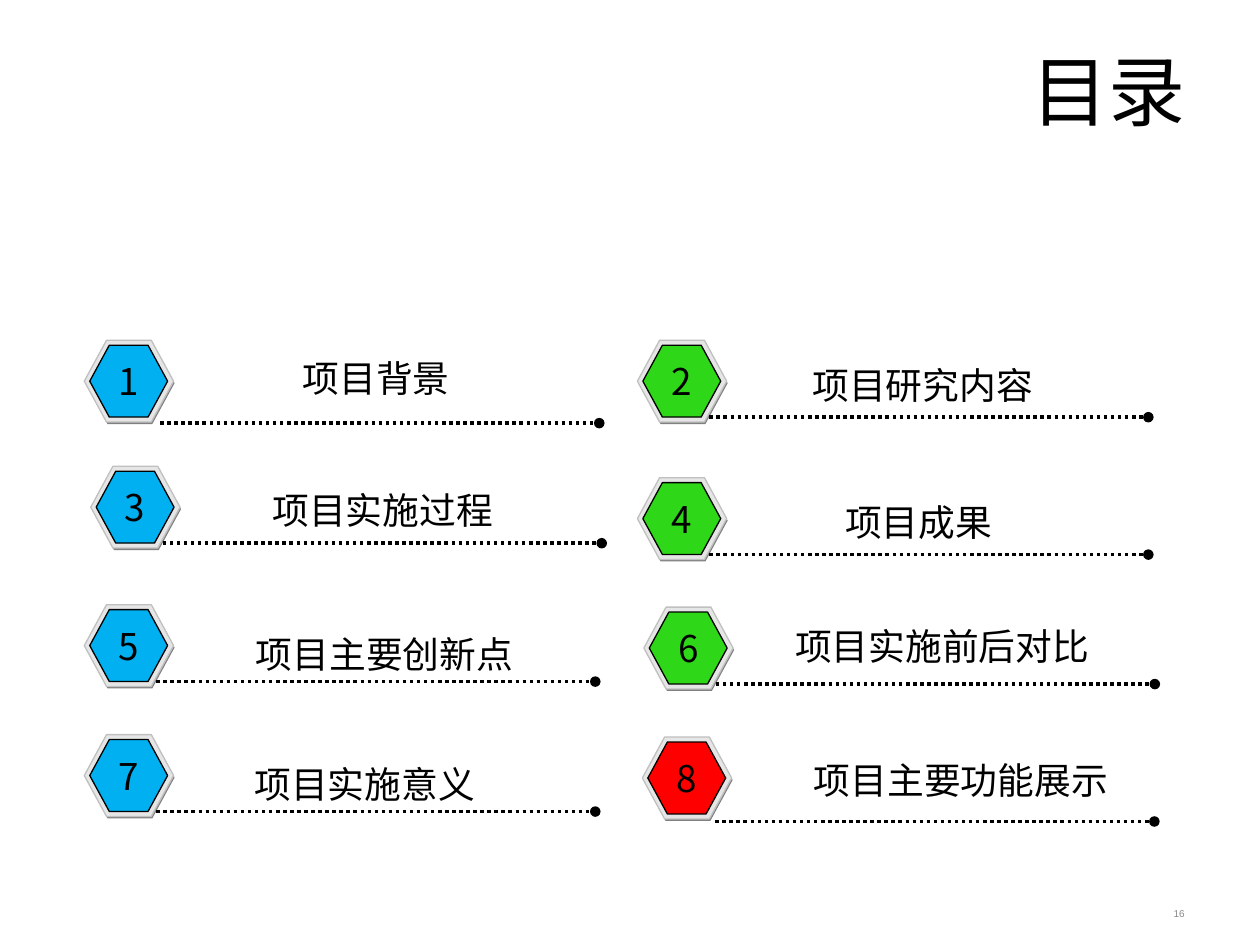
"""Build the contents slide with eight numbered hexagon entries."""
from dataclasses import dataclass

from lxml import etree
from pptx import Presentation
from pptx.dml.color import RGBColor
from pptx.enum.dml import MSO_LINE
from pptx.enum.shapes import MSO_CONNECTOR, MSO_SHAPE
from pptx.enum.text import MSO_ANCHOR, MSO_AUTO_SIZE, PP_ALIGN
from pptx.oxml.ns import qn
from pptx.util import Cm, Pt

HEXAGON = MSO_SHAPE.HEXAGON
STRAIGHT = MSO_CONNECTOR.STRAIGHT
DOTTED = MSO_LINE.ROUND_DOT
TOP, BOTTOM = MSO_ANCHOR.TOP, MSO_ANCHOR.BOTTOM
LEFT, CENTER, RIGHT = PP_ALIGN.LEFT, PP_ALIGN.CENTER, PP_ALIGN.RIGHT
FIXED_SIZE, FIT_SHAPE = MSO_AUTO_SIZE.NONE, MSO_AUTO_SIZE.SHAPE_TO_FIT_TEXT

BLACK = RGBColor(0x00, 0x00, 0x00)
SHADE = RGBColor(0x80, 0x80, 0x80)
RIM = RGBColor(0xE6, 0xE6, 0xE6)
RIM_EDGE = RGBColor(0xC0, 0xC0, 0xC0)
BLUE = RGBColor(0x00, 0xB0, 0xF0)
GREEN = RGBColor(0x2E, 0xD7, 0x17)
RED = RGBColor(0xFF, 0x00, 0x00)
PAGE_GRAY = RGBColor(0x89, 0x89, 0x89)

ITEM_FONT = "Noto Sans CJK SC"
ITEM_SIZE = 21
CHARACTER_WIDTH = 0.74
LABEL_SLACK = 0.1
LABEL_INSETS = (0.23, 0.11)
NUMBER_INSETS = (0.25, 0.13)


@dataclass(frozen=True)
class Entry:
    """One contents entry, with positions in centimetres."""
    number: str
    label: str
    color: RGBColor
    left: float
    top: float
    label_left: float
    label_top: float
    line_left: float = 1.45
    line_drop: float = 1.55


@dataclass(frozen=True)
class Layer:
    """One hexagon of a badge, placed relative to the badge corner."""
    left: float
    top: float
    width: float
    height: float
    fill: RGBColor
    edge: RGBColor | None


ENTRIES = [
    Entry("1", "项目背景", BLUE, 1.70, 6.86, 5.87, 7.06, 1.53, 1.67),
    Entry("2", "项目研究内容", GREEN, 12.85, 6.86, 16.15, 7.21),
    Entry("3", "项目实施过程", BLUE, 1.83, 9.40, 5.26, 9.73),
    Entry("4", "项目成果", GREEN, 12.85, 9.63, 16.81, 9.96),
    Entry("5", "项目主要创新点", BLUE, 1.70, 12.19, 4.93, 12.62),
    Entry("6", "项目实施前后对比", GREEN, 12.98, 12.24, 15.80, 12.47),
    Entry("7", "项目实施意义", BLUE, 1.70, 14.81, 4.90, 15.24),
    Entry("8", "项目主要功能展示", RED, 12.95, 14.86, 16.18, 15.16, 1.47, 1.70),
]


def write_text(frame, text: str, font_name: str, size: float,
               color: RGBColor, alignment) -> None:
    """Fill a text frame with one formatted run."""
    paragraph = frame.paragraphs[0]
    paragraph.alignment = alignment
    run = paragraph.add_run()
    run.text = text
    run.font.size = Pt(size)
    run.font.color.rgb = color
    run.font.name = font_name
    properties = run.font._element
    etree.SubElement(properties, qn("a:ea")).set("typeface", font_name)


def set_insets(frame, horizontal: float, vertical: float) -> None:
    """Set equal side and equal top and bottom insets."""
    frame.margin_left = frame.margin_right = Cm(horizontal)
    frame.margin_top = frame.margin_bottom = Cm(vertical)


def add_item_text(shapes, text: str, left: float, top: float, width: float,
                  height: float, insets: tuple[float, float], alignment) -> None:
    """Add an unwrapped number or label."""
    box = shapes.add_textbox(Cm(left), Cm(top), Cm(width), Cm(height))
    frame = box.text_frame
    set_insets(frame, *insets)
    frame.word_wrap = False
    frame.auto_size = FIT_SHAPE
    write_text(frame, text, ITEM_FONT, ITEM_SIZE, BLACK, alignment)


def add_hexagon(shapes, entry: Entry, layer: Layer) -> None:
    """Add one layer of an entry's badge."""
    shape = shapes.add_shape(
        HEXAGON, Cm(entry.left + layer.left), Cm(entry.top + layer.top),
        Cm(layer.width), Cm(layer.height))
    shape.adjustments[0] = 0.272
    shape.shadow.inherit = False
    shape.fill.solid()
    shape.fill.fore_color.rgb = layer.fill
    if layer.edge is None:
        shape.line.fill.background()
    else:
        shape.line.color.rgb = layer.edge
        shape.line.width = Pt(0.75)


def add_dotted_line(shapes, left: float, top: float) -> None:
    """Add a dotted rule ending in a dot."""
    connector = shapes.add_connector(
        STRAIGHT, Cm(left), Cm(top), Cm(left + 8.85), Cm(top))
    connector.line.color.rgb = BLACK
    connector.line.width = Pt(2)
    connector.line.dash_style = DOTTED
    properties = connector._element.spPr
    outline = properties.find(qn("a:ln"))
    etree.SubElement(outline, qn("a:tailEnd")).set("type", "oval")
    etree.SubElement(properties, qn("a:effectLst"))


def add_entry(slide, entry: Entry) -> None:
    """Add a badge with its rule and label."""
    shapes = slide.shapes.add_group_shape().shapes
    layers = [
        Layer(0.02, 0.04, 1.80, 1.65, SHADE, None),
        Layer(0, 0, 1.80, 1.65, RIM, RIM_EDGE),
        Layer(0.11, 0.10, 1.57, 1.45, entry.color, BLACK),
    ]
    for layer in layers:
        add_hexagon(shapes, entry, layer)
    add_dotted_line(shapes, entry.left + entry.line_left,
                    entry.top + entry.line_drop)
    add_item_text(shapes, entry.number, entry.left + 0.44, entry.top + 0.25,
                  0.91, 1.14, NUMBER_INSETS, CENTER)
    label_width = (CHARACTER_WIDTH * len(entry.label)
                   + 2 * LABEL_INSETS[0] + LABEL_SLACK)
    add_item_text(slide.shapes, entry.label, entry.label_left, entry.label_top,
                  label_width, 1.12, LABEL_INSETS, LEFT)


def add_title(slide) -> None:
    """Place and fill the title."""
    title = slide.shapes.title
    title.left, title.top = Cm(1.27), Cm(0.76)
    title.width, title.height = Cm(22.86), Cm(3.18)
    frame = title.text_frame
    set_insets(frame, *LABEL_INSETS)
    frame.vertical_anchor = TOP
    frame.auto_size = FIXED_SIZE
    write_text(frame, "目录", "Calibri", 44, BLACK, RIGHT)


def add_page_number(slide) -> None:
    """Add the page number at the lower right."""
    box = slide.shapes.add_textbox(Cm(18.21), Cm(17.65), Cm(5.92), Cm(1.02))
    frame = box.text_frame
    frame.word_wrap = True
    frame.vertical_anchor = BOTTOM
    write_text(frame, "16", "Arial", 5.7, PAGE_GRAY, RIGHT)


def main() -> None:
    """Create and save the presentation."""
    presentation = Presentation()
    presentation.slide_width = Cm(25.4)
    presentation.slide_height = Cm(19.05)
    slide = presentation.slides.add_slide(presentation.slide_layouts[5])
    add_title(slide)
    for entry in ENTRIES:
        add_entry(slide, entry)
    add_page_number(slide)
    presentation.save("out.pptx")


if __name__ == "__main__":
    main()
